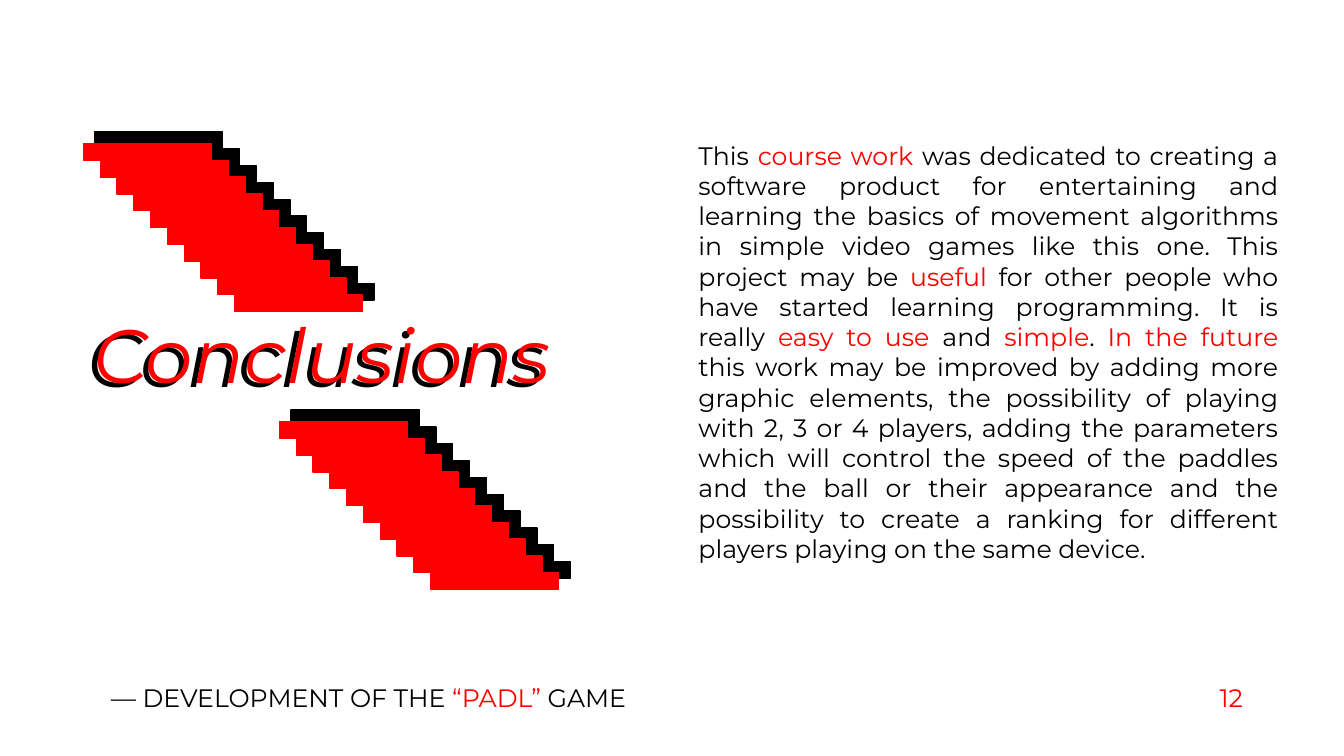
from pptx import Presentation
from pptx.dml.color import RGBColor
from pptx.enum.shapes import MSO_SHAPE
from pptx.enum.text import MSO_ANCHOR, MSO_AUTO_SIZE, PP_ALIGN
from pptx.oxml.ns import qn
from pptx.util import Pt
from lxml import etree

FONT = "Montserrat"
BLACK, RED, WHITE = "000000", "FF0000", "FFFFFF"
STEP = 12
STEP_COUNT = 10

BODY_RUNS = [
    ("This ", BLACK),
    ("course work ", RED),
    ("was dedicated to creating a software product for entertaining and learning "
     "the basics of movement algorithms in simple video games like this one. "
     "This project may be ", BLACK),
    ("useful", RED),
    (" for other people who have started learning programming. It is really ", BLACK),
    ("easy to use ", RED),
    ("and ", BLACK),
    ("simple", RED),
    (". ", BLACK),
    ("In the future", RED),
    (" this work may be improved by adding more graphic elements, the possibility "
     "of playing with 2, 3 or 4 players, adding the parameters which will control "
     "the speed of the paddles and the ball or their appearance and the possibility "
     "to create a ranking for different players playing on the same device.", BLACK),
]
FOOTER_RUNS = [
    ("— DEVELOPMENT OF THE ", BLACK),
    ("“PADL”", RED),
    (" GAME\t", BLACK),
    ("12", RED),
]


def color(hex_string):
    return RGBColor.from_string(hex_string)


def add_runs(paragraph, runs, size, italic=None):
    for text, run_color in runs:
        run = paragraph.add_run()
        run.text = text
        run.font.name = FONT
        run.font.size = Pt(size)
        run.font.italic = italic
        run.font.color.rgb = color(run_color)


def add_rectangle(slide, left, top, width, height, fill):
    shape = slide.shapes.add_shape(
        MSO_SHAPE.RECTANGLE, Pt(left), Pt(top), Pt(width), Pt(height))
    shape.shadow.inherit = False
    shape.fill.solid()
    shape.fill.fore_color.rgb = color(fill)
    shape.line.color.rgb = color(fill)
    shape.line.width = Pt(1)
    return shape


def add_staircase(slide, left, top, fill):
    """Draw equal bars, each one step right of and below the last."""
    for index in range(STEP_COUNT):
        offset = index * STEP
        add_rectangle(slide, left + offset, top + offset, 91.5, STEP, fill)


def add_text(shapes, left, top, width, height, runs, size, wrap=True, italic=None):
    box = shapes.add_textbox(Pt(left), Pt(top), Pt(width), Pt(height))
    frame = box.text_frame
    frame.word_wrap = wrap
    frame.auto_size = MSO_AUTO_SIZE.SHAPE_TO_FIT_TEXT
    add_runs(frame.paragraphs[0], runs, size, italic)
    return frame.paragraphs[0]


def add_title(slide, left, top, width, height):
    """Set the title in red over a black offset duplicate."""
    group = slide.shapes.add_group_shape()
    for shift_x, shift_y, layer_color in ((0, 2.2, BLACK), (4, 0, RED)):
        add_text(group.shapes, left + shift_x, top + shift_y, width, height,
                 [("Conclusions", layer_color)], 54, wrap=False, italic=True)


def add_body(slide, left, top, width, height):
    paragraph = add_text(slide.shapes, left, top, width, height, BODY_RUNS, 18)
    paragraph.alignment = PP_ALIGN.JUSTIFY


def add_footer(slide, left, top, width, height):
    bar = add_rectangle(slide, left, top, width, height, WHITE)
    frame = bar.text_frame
    frame.margin_left = Pt(79.2)
    frame.vertical_anchor = MSO_ANCHOR.MIDDLE
    paragraph = frame.paragraphs[0]
    paragraph.alignment = PP_ALIGN.LEFT
    add_runs(paragraph, FOOTER_RUNS, 18)
    tab_list = etree.SubElement(paragraph._p.get_or_add_pPr(), qn("a:tabLst"))
    etree.SubElement(tab_list, qn("a:tab"), pos=str(int(Pt(792))), algn="l")


def main():
    presentation = Presentation()
    presentation.slide_width = Pt(960)
    presentation.slide_height = Pt(540)
    slide = presentation.slides.add_slide(presentation.slide_layouts[6])

    add_staircase(slide, 67.7, 94.4, BLACK)
    add_footer(slide, 0, 456.5, 967, 83.5)
    add_body(slide, 491.8, 96.5, 428.4, 312.5)
    add_staircase(slide, 59.7, 102.5, RED)
    add_title(slide, 55.6, 216.7, 348.5, 72.7)
    add_staircase(slide, 208, 293, BLACK)
    add_staircase(slide, 199.7, 301.1, RED)

    presentation.save("out.pptx")


if __name__ == "__main__":
    main()
